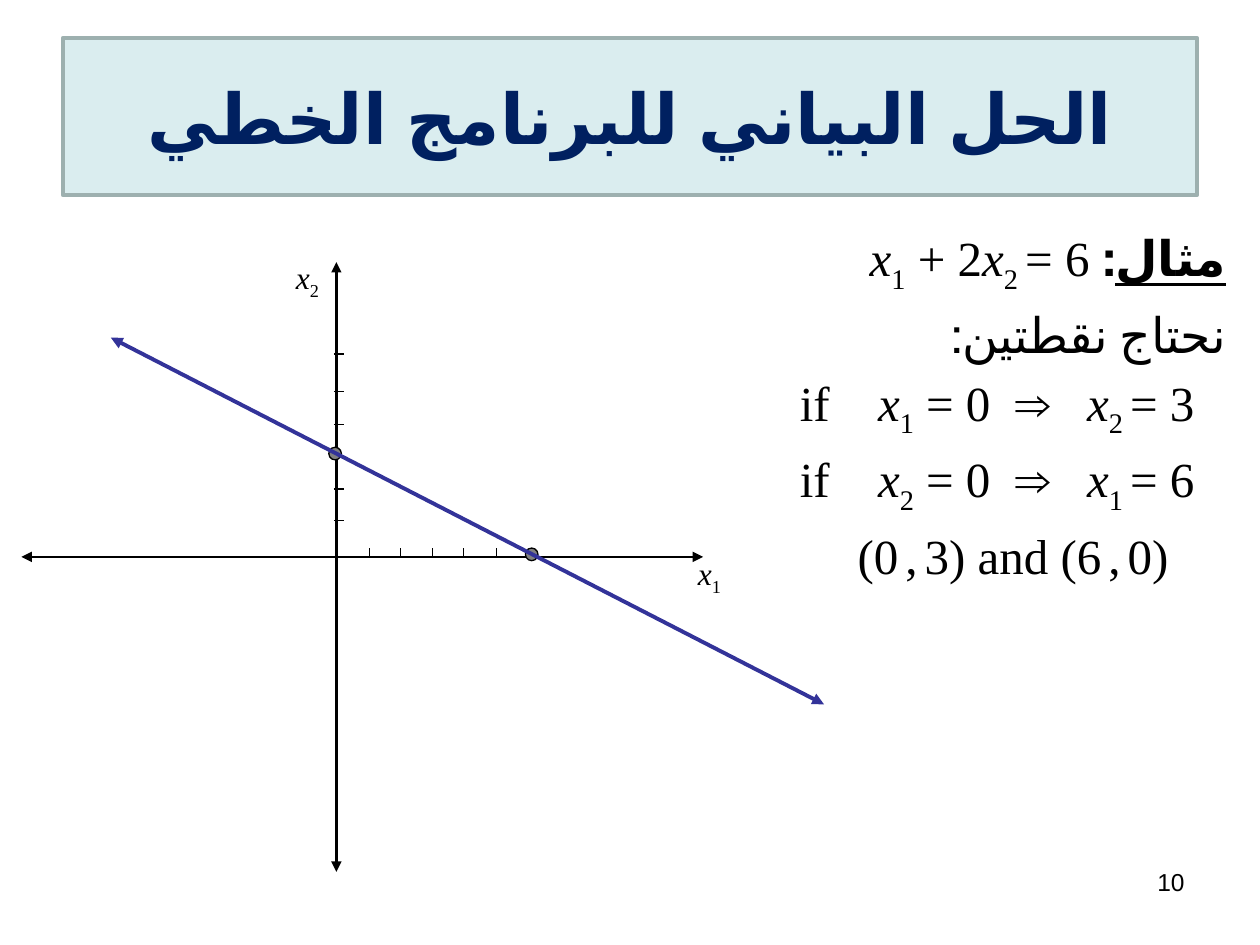
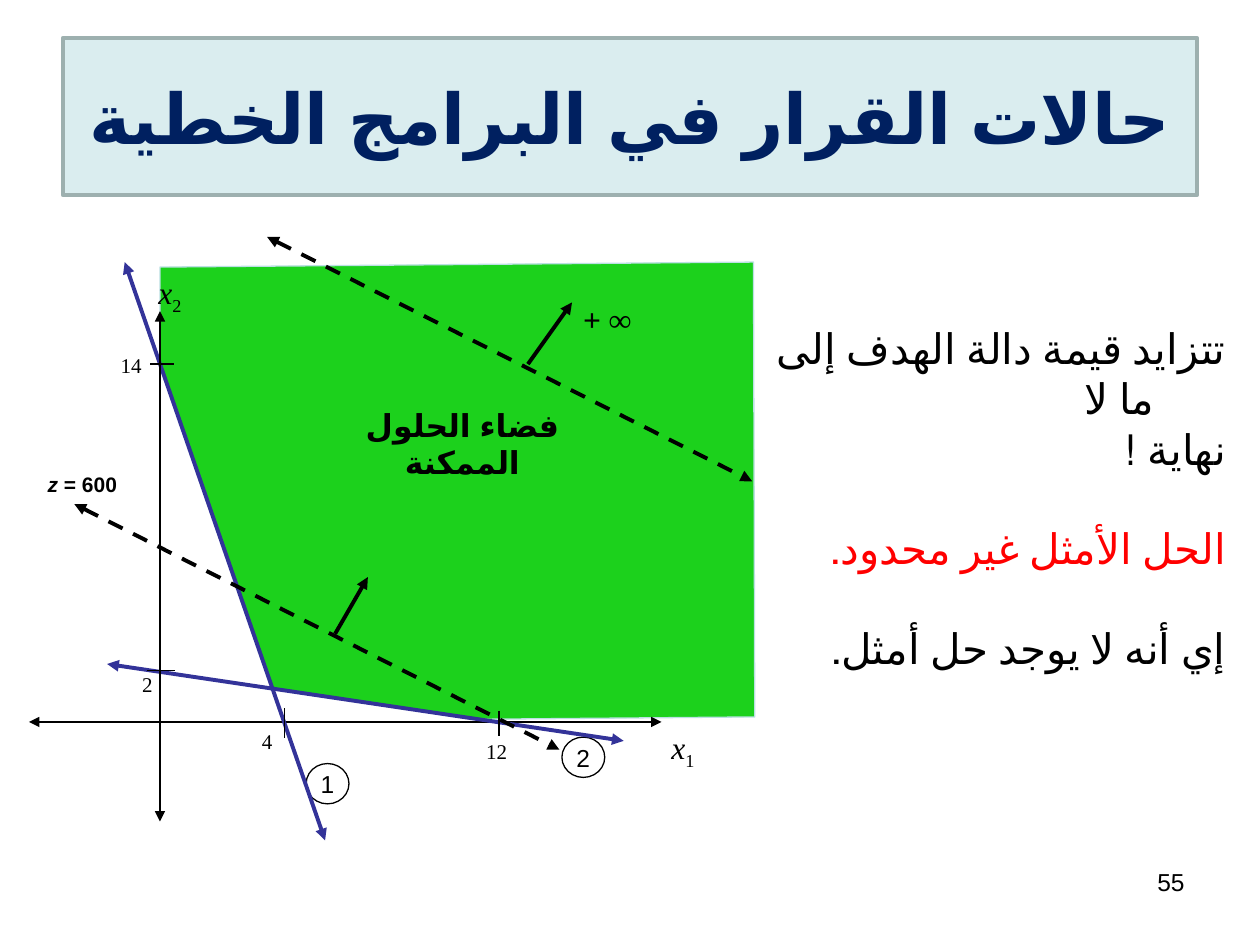
from dataclasses import dataclass

from lxml.etree import SubElement
from pptx import Presentation
from pptx.dml.color import RGBColor as Color
from pptx.enum.dml import MSO_LINE
from pptx.enum.lang import MSO_LANGUAGE_ID as Language
from pptx.enum.shapes import MSO_CONNECTOR, MSO_SHAPE
from pptx.enum.text import MSO_ANCHOR, MSO_AUTO_SIZE, PP_ALIGN as Align
from pptx.oxml.ns import qn
from pptx.util import Inches, Pt


@dataclass(frozen=True)
class Theme:
    black: Color = Color.from_string("000000")
    white: Color = Color.from_string("FFFFFF")
    navy: Color = Color.from_string("002060")
    red: Color = Color.from_string("FF0000")
    constraint: Color = Color.from_string("333399")
    point: Color = Color.from_string("808080")
    region: Color = Color.from_string("00CC00")
    region_edge: Color = Color.from_string("BBE0E3")
    band: Color = Color.from_string("DAEDEF")
    band_edge: Color = Color.from_string("9DB0AF")
    sans: str = "Arial"
    serif: str = "Times New Roman"
    title: Pt = Pt(40)
    example: Pt = Pt(28)
    body: Pt = Pt(24)
    label: Pt = Pt(18)
    narrow: Pt = Pt(16)
    number: Pt = Pt(14)
    tick: Pt = Pt(12)
    thin: Pt = Pt(0.75)
    axis: Pt = Pt(1.5)
    thick: Pt = Pt(2.25)


theme = Theme()
ITALIC = {"italic": True}
SUBSCRIPT = {"baseline": "-25000"}
HANG = 0.57


def write(box, paragraphs, name=theme.sans, size=theme.body, color=theme.black, **base):
    """Fill a shape; each paragraph is (spans, layout) and each span (text, format)."""
    frame = box.text_frame
    for index, (spans, layout) in enumerate(paragraphs):
        para = frame.add_paragraph() if index else frame.paragraphs[0]
        para.alignment = layout.get("align", Align.LEFT)
        props = para._p.get_or_add_pPr()
        if layout.get("rtl"):
            props.set("rtl", "1")
        if "hang" in layout:
            props.set("marL", str(Inches(layout["hang"])))
            props.set("indent", str(-Inches(layout["hang"])))
        if "tabs" in layout:
            stops = SubElement(props, qn("a:tabLst"))
            for stop in layout["tabs"]:
                SubElement(stops, qn("a:tab"), pos=str(Inches(stop)), algn="l")
        if index and "before" in layout:
            para.space_before = layout["before"]
        for text, extra in spans:
            span = para.add_run()
            span.text = text
            values = {"name": name, "size": size, "color": color, **base, **extra}
            if layout.get("rtl"):
                values["language_id"] = Language.ARABIC
            span.font.color.rgb = values.pop("color")
            if "baseline" in values:
                span._r.get_or_add_rPr().set("baseline", values.pop("baseline"))
            for key, value in values.items():
                setattr(span.font, key, value)


def draw_line(page, start, end, color=theme.black, width=theme.thin, arrows="", dashed=False):
    """Draw a straight line; arrows names the ends ("head", "tail") that carry a triangle."""
    line = page.shapes.add_connector(MSO_CONNECTOR.STRAIGHT, *map(Inches, start + end))
    line.line.color.rgb = color
    line.line.width = width
    if dashed:
        line.line.dash_style = MSO_LINE.DASH
    for tip in arrows.split():
        SubElement(line.line._get_or_add_ln(), qn(f"a:{tip}End"), type="triangle")
    SubElement(line._element.spPr, qn("a:effectLst"))


deck = Presentation()
deck.slide_width, deck.slide_height = Inches(10), Inches(7.5)

# Shared title band and page number
pages = []
for title, number in [
    ("الحل البياني للبرنامج الخطي", "10"),
    ("حالات القرار في البرامج الخطية", "55"),
]:
    page = deck.slides.add_slide(deck.slide_layouts[6])
    band = page.shapes.add_textbox(Inches(0.5), Inches(0.3), Inches(9), Inches(1.25))
    band.fill.solid()
    band.fill.fore_color.rgb = theme.band
    band.line.color.rgb = theme.band_edge
    band.line.width = theme.thick
    band.text_frame.word_wrap = True
    band.text_frame.vertical_anchor = MSO_ANCHOR.MIDDLE
    write(band, [([(title, {})], {"align": Align.CENTER, "rtl": True})],
          size=theme.title, color=theme.navy, bold=True)
    footer = page.shapes.add_textbox(Inches(7.17), Inches(6.83), Inches(2.33), Inches(0.52))
    footer.text_frame.word_wrap = True
    write(footer, [([(number, {})], {"align": Align.RIGHT})], size=theme.number)
    pages.append(page)
example_page, unbounded_page = pages

# Slide 1: worked example
right = {"align": Align.RIGHT, "rtl": True, "hang": HANG, "before": Pt(5.4)}
steps = {"tabs": [0.62, 1.71, 2.28], "before": Pt(5.4)}
centred = {"align": Align.CENTER, "before": Pt(5.4)}
gap = (" ", {"size": theme.narrow})
paragraphs = [
    ([("مثال", {"bold": True, "underline": True}), (": ", {"bold": True}),
      ("x", ITALIC), ("1", SUBSCRIPT), (" + 2", {}),
      ("x", ITALIC), ("2 ", SUBSCRIPT), ("= 6", {})], right),
    ([("نحتاج نقطتين:", {})], right),
]
for zero, other, result in [("1", "2", "3"), ("2", "1", "6")]:
    paragraphs.append(
        ([("if\t", {}), ("x", ITALIC), (zero, SUBSCRIPT), (" = 0\t⇒\t", {}),
          ("x", ITALIC), (f"{other} ", SUBSCRIPT), (f"= {result}", {})], steps))
paragraphs.append(
    ([("(0", {}), gap, (",", {}), gap, ("3) and (6", {}), gap, (",", {}), gap, ("0)", {})],
     centred))
example = example_page.shapes.add_textbox(Inches(6.25), Inches(1.76), Inches(3.58), Inches(3.17))
example.text_frame.word_wrap = True
write(example, paragraphs, name=theme.serif, size=theme.example)

# Slide 1: graph
for start, end in [((2.67, 2.08), (2.67, 6.92)), ((0.17, 4.42), (5.58, 4.42))]:
    draw_line(example_page, start, end, width=theme.axis, arrows="head tail")
for y in (4.13, 3.88, 3.62, 3.37, 3.11, 2.81):
    draw_line(example_page, (2.65, y), (2.73, y))
for x in (2.93, 3.18, 3.43, 3.68, 3.94, 4.23):
    draw_line(example_page, (x, 4.35), (x, 4.43))
for x, y in [(2.61, 3.55), (4.17, 4.35)]:
    point = example_page.shapes.add_shape(
        MSO_SHAPE.OVAL, Inches(x), Inches(y), Inches(0.1), Inches(0.1))
    point.shadow.inherit = False
    point.fill.solid()
    point.fill.fore_color.rgb = theme.point
    point.line.color.rgb = theme.black
    point.line.width = theme.thin
draw_line(example_page, (0.88, 2.68), (6.54, 5.59), theme.constraint, theme.thick, "head tail")

# Slide 2: feasible region, then the two corners cut out of it
for corners, fill, edge, alpha in [
    ([(1.27, 2.12), (5.98, 2.08), (5.99, 5.69), (1.27, 5.73)],
     theme.region, theme.region_edge, "89000"),
    ([(1.26, 2.86), (1.26, 5.73), (2.24, 5.73)], theme.white, theme.white, None),
    ([(2.17, 5.47), (3.94, 5.73), (2.25, 5.73)], theme.white, theme.white, None),
]:
    first, *rest = [(Inches(x), Inches(y)) for x, y in corners]
    builder = unbounded_page.shapes.build_freeform(*first, scale=1.0)
    builder.add_line_segments(rest, close=True)
    area = builder.convert_to_shape()
    area.shadow.inherit = False
    area.fill.solid()
    area.fill.fore_color.rgb = fill
    area.line.color.rgb = edge
    area.line.width = theme.thin
    if alpha:
        SubElement(area._element.xpath(".//a:solidFill/a:srgbClr")[0], qn("a:alpha"), val=alpha)

for x, y, number in [(2.43, 6.06, "1"), (4.46, 5.85, "2")]:
    marker = unbounded_page.shapes.add_shape(
        MSO_SHAPE.OVAL, Inches(x), Inches(y), Inches(0.34), Inches(0.32))
    marker.shadow.inherit = False
    marker.fill.background()
    marker.line.color.rgb = theme.black
    marker.line.width = theme.thin
    frame = marker.text_frame
    frame.margin_left = frame.margin_right = frame.margin_top = frame.margin_bottom = 0
    frame.word_wrap = False
    frame.vertical_anchor = MSO_ANCHOR.MIDDLE
    write(marker, [([(number, {})], {"align": Align.CENTER})], size=theme.number)

# Slide 2: axes, constraints, ticks and objective lines
for start, end, color, width in [
    ((0.23, 5.73), (5.25, 5.73), theme.black, theme.axis),
    ((0.99, 2.08), (2.58, 6.67), theme.constraint, theme.thick),
    ((4.95, 5.88), (0.85, 5.27), theme.constraint, theme.thick),
    ((1.27, 2.47), (1.27, 6.52), theme.black, theme.axis),
]:
    draw_line(unbounded_page, start, end, color, width, "head tail")
for start, end in [
    ((3.96, 5.64), (3.96, 5.84)), ((1.38, 2.89), (1.19, 2.89)),
    ((2.26, 5.62), (2.26, 5.86)), ((1.39, 5.32), (1.17, 5.32)),
]:
    draw_line(unbounded_page, start, end)
for start, end in [((0.59, 4), (4.44, 5.95)), ((2.12, 1.88), (5.97, 3.82))]:
    draw_line(unbounded_page, start, end, width=theme.thick, arrows="head tail", dashed=True)
for start, end in [((2.66, 5.03), (2.92, 4.58)), ((4.19, 2.89), (4.54, 2.4))]:
    draw_line(unbounded_page, start, end, width=theme.thick, arrows="tail")

# Graph labels of both slides
x1, x2 = ([("x", ITALIC), (index, SUBSCRIPT)] for index in "12")
axis_label = {"name": theme.serif, "size": theme.label}
tick_label = {"name": theme.serif, "size": theme.tick}
for page, x, y, width, height, spans, style in [
    (example_page, 5.44, 4.35, 0.4, 0.4, x1, axis_label),
    (example_page, 2.25, 2, 0.4, 0.4, x2, axis_label),
    (unbounded_page, 5.23, 5.73, 0.4, 0.4, x1, axis_label),
    (unbounded_page, 1.16, 2.12, 0.4, 0.4, x2, axis_label),
    (unbounded_page, 3.76, 5.81, 0.37, 0.3, [("12", {})], tick_label),
    (unbounded_page, 0.86, 2.75, 0.37, 0.3, [("14", {})], tick_label),
    (unbounded_page, 1.98, 5.73, 0.28, 0.3, [("4", {})], tick_label),
    (unbounded_page, 1.03, 5.28, 0.28, 0.3, [("2", {})], tick_label),
    (unbounded_page, 0.28, 3.69, 0.76, 0.3, [("z", ITALIC), (" = 600", {})],
     {"size": theme.tick, "bold": True}),
    (unbounded_page, 4.53, 2.33, 0.58, 0.4, [("+ ∞", {})], {**axis_label, "bold": True}),
]:
    label = page.shapes.add_textbox(Inches(x), Inches(y), Inches(width), Inches(height))
    label.text_frame.word_wrap = False
    label.text_frame.auto_size = MSO_AUTO_SIZE.SHAPE_TO_FIT_TEXT
    write(label, [(spans, {})], **style)

region_name = unbounded_page.shapes.add_textbox(
    Inches(2.72), Inches(3.17), Inches(1.9), Inches(0.4))
region_name.text_frame.word_wrap = True
write(region_name, [([("فضاء الحلول الممكنة", {})], {"align": Align.CENTER, "rtl": True})],
      bold=True, **axis_label)

# Slide 2: conclusion
conclusion = unbounded_page.shapes.add_textbox(
    Inches(6), Inches(2.11), Inches(3.83), Inches(3.33))
conclusion.text_frame.word_wrap = True
conclusion.text_frame.margin_top = Inches(0.45)
tight = {"align": Align.RIGHT, "rtl": True, "hang": HANG}
spaced = {**tight, "before": Pt(28)}
write(conclusion, [
    ([("تتزايد قيمة دالة الهدف إلى ما لا", {})], tight),
    ([("نهاية !", {})], tight),
    ([("الحل الأمثل غير محدود.", {"color": theme.red})], spaced),
    ([("إي أنه لا يوجد حل أمثل.", {})], spaced),
])

deck.save("out.pptx")
